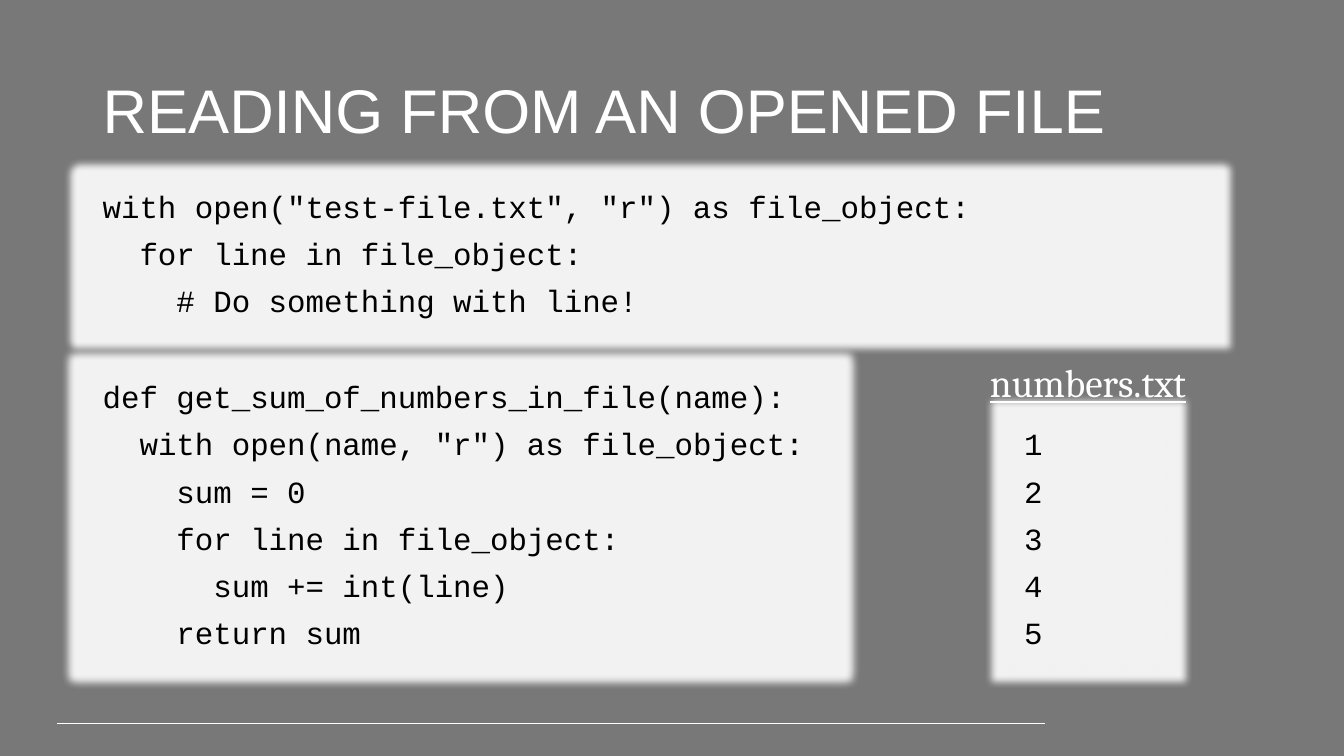
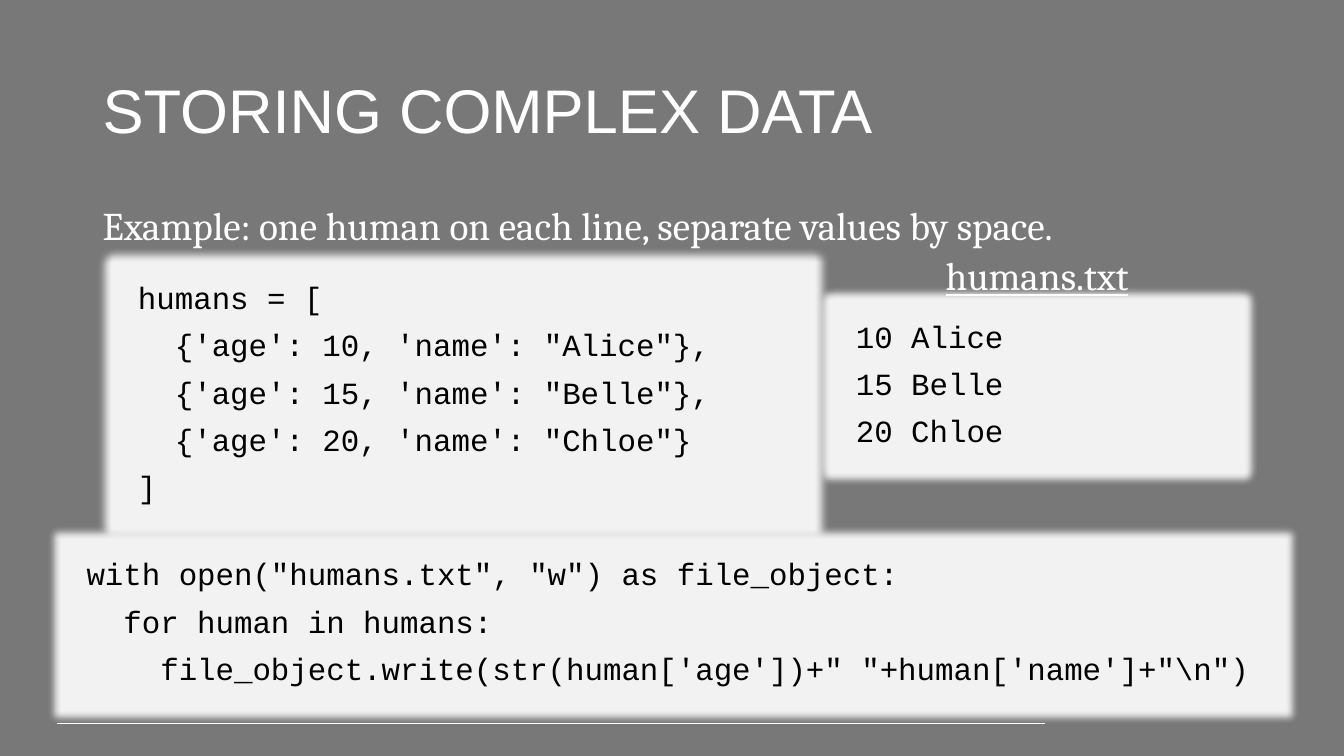
from lxml.etree import SubElement
from pptx import Presentation
from pptx.dml.color import RGBColor
from pptx.enum.shapes import MSO_CONNECTOR, MSO_SHAPE
from pptx.enum.text import MSO_ANCHOR as Anchor, MSO_AUTO_SIZE as AutoSize, PP_ALIGN as Align
from pptx.oxml.ns import qn
from pptx.util import Inches, Pt

GRAY = RGBColor(0x78, 0x78, 0x78)
PAPER = RGBColor(0xF2, 0xF2, 0xF2)
WHITE = RGBColor(0xFF, 0xFF, 0xFF)
BLACK = RGBColor(0x00, 0x00, 0x00)

GLOW_RADIUS = Pt(11)
TITLE_BOX = (0.92, 0.4, 11.5, 1.45)
FOOTER_LINE = (0.57, 7.18, 10.36, 7.18)

FORMATS = {
    "title": {"name": "Arial", "size": Pt(44), "color": WHITE},
    "body": {"name": "Cambria", "size": Pt(28), "color": WHITE},
    "file name": {"name": "Cambria", "size": Pt(28), "color": WHITE, "underline": True},
    "code": {"name": "Courier New", "size": Pt(22), "color": BLACK},
}

# Each part: (role, (left, top, width, height), lines), from back to front
SLIDES = [
    ("READING FROM AN OPENED FILE", [
        ("code", (0.92, 1.85, 11.04, 1.38), [
            'with open("test-file.txt", "r") as file_object:',
            "  for line in file_object:",
            "    # Do something with line!",
        ]),
        ("code", (0.92, 3.74, 7.31, 2.8), [
            "def get_sum_of_numbers_in_file(name):",
            '  with open(name, "r") as file_object:',
            "    sum = 0",
            "    for line in file_object:",
            "      sum += int(line)",
            "    return sum",
        ]),
        ("code", (10.06, 4.21, 1.47, 2.33), ["1", "2", "3", "4", "5"]),
        ("file name", (9.63, 3.56, 2.32, 0.53), ["numbers.txt"]),
    ]),
    ("STORING COMPLEX DATA", [
        ("body", (0.92, 2, 11.5, 0.53),
         ["Example: one human on each line, separate values by space."]),
        ("code", (8.39, 3.14, 3.79, 1.38), ["10 Alice", "15 Belle", "20 Chloe"]),
        ("file name", (8.39, 2.5, 3.79, 0.53), ["humans.txt"]),
        ("code", (1.27, 2.76, 6.65, 2.33), [
            "humans = [",
            "  {'age': 10, 'name': \"Alice\"},",
            "  {'age': 15, 'name': \"Belle\"},",
            "  {'age': 20, 'name': \"Chloe\"}",
            "]",
        ]),
        ("code", (0.76, 5.5, 11.82, 1.38), [
            'with open("humans.txt", "w") as file_object:',
            "  for human in humans:",
            "    file_object.write(str(human['age'])+\" \"+human['name']+\"\\n\")",
        ]),
    ]),
]


def add_footer_line(slide):
    footer = slide.shapes.add_connector(MSO_CONNECTOR.STRAIGHT, *map(Inches, FOOTER_LINE))
    footer.line.color.rgb = WHITE
    footer.line.width = Pt(0.75)
    SubElement(footer._element.spPr, qn("a:effectLst"))


def add_code_panel(slide, box):
    """Add a pale rectangle whose glow, in the same colour, softens its edge."""
    panel = slide.shapes.add_shape(MSO_SHAPE.RECTANGLE, *box)
    panel.fill.solid()
    panel.fill.fore_color.rgb = PAPER
    panel.line.fill.background()
    panel.shadow.inherit = False
    effects = panel._element.spPr.find(qn("a:effectLst"))
    glow = SubElement(effects, qn("a:glow"), rad=str(int(GLOW_RADIUS)))
    SubElement(glow, qn("a:srgbClr"), val=str(PAPER))
    return panel


def write_lines(frame, lines, role):
    for index, line in enumerate(lines):
        paragraph = frame.paragraphs[0] if index == 0 else frame.add_paragraph()
        paragraph.alignment = Align.CENTER if role == "file name" else Align.LEFT
        paragraph.line_spacing = 0.9
        if index:
            paragraph.space_before = Pt(10)
        run = paragraph.add_run()
        run.text = line
        for key, value in FORMATS[role].items():
            if key == "color":
                run.font.color.rgb = value
            else:
                setattr(run.font, key, value)


def add_part(slide, role, box, lines):
    box = [Inches(length) for length in box]
    part = add_code_panel(slide, box) if role == "code" else slide.shapes.add_textbox(*box)
    frame = part.text_frame
    frame.word_wrap = True
    frame.vertical_anchor = Anchor.MIDDLE if role == "title" else Anchor.TOP
    frame.auto_size = AutoSize.NONE if role == "title" else AutoSize.SHAPE_TO_FIT_TEXT
    write_lines(frame, lines, role)


def main():
    deck = Presentation()
    deck.slide_width, deck.slide_height = Inches(13.33), Inches(7.5)
    for title, parts in SLIDES:
        slide = deck.slides.add_slide(deck.slide_layouts[6])
        slide.background.fill.solid()
        slide.background.fill.fore_color.rgb = GRAY
        add_footer_line(slide)
        add_part(slide, "title", TITLE_BOX, [title])
        for part in parts:
            add_part(slide, *part)
    deck.save("out.pptx")


if __name__ == "__main__":
    main()
